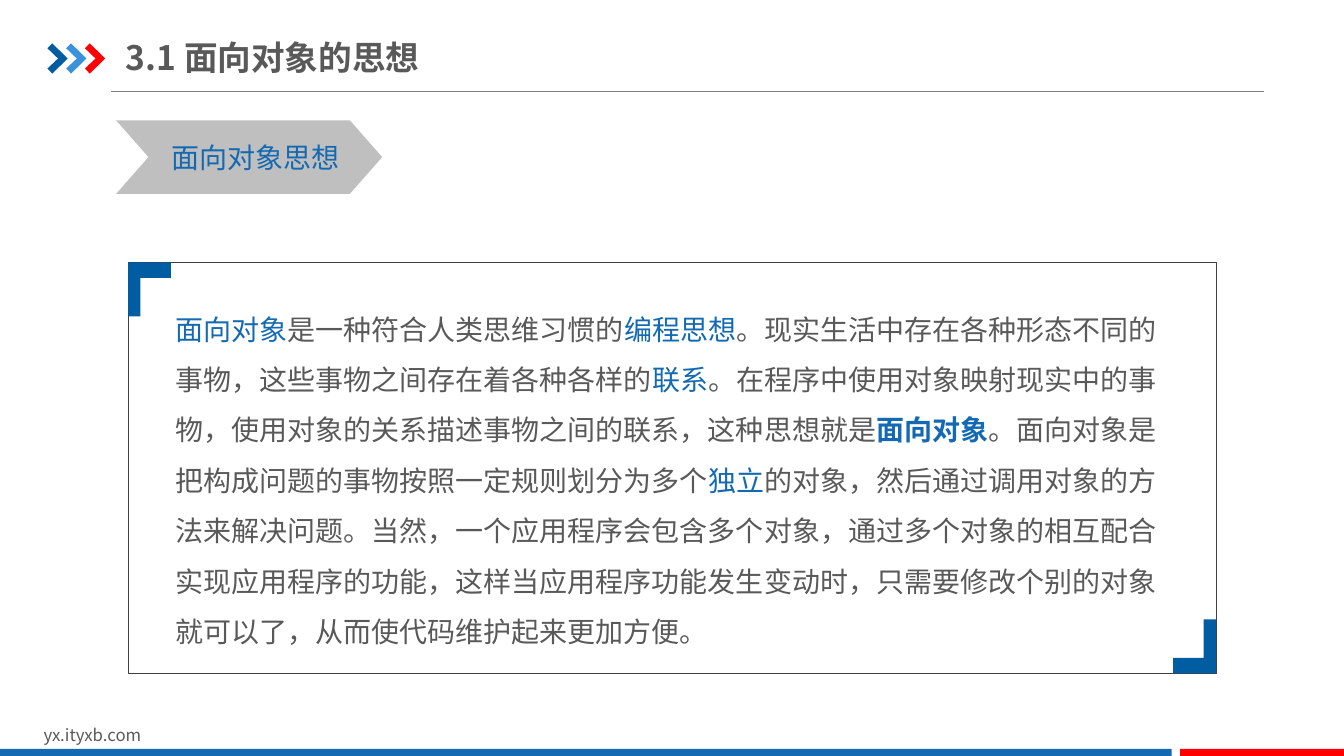
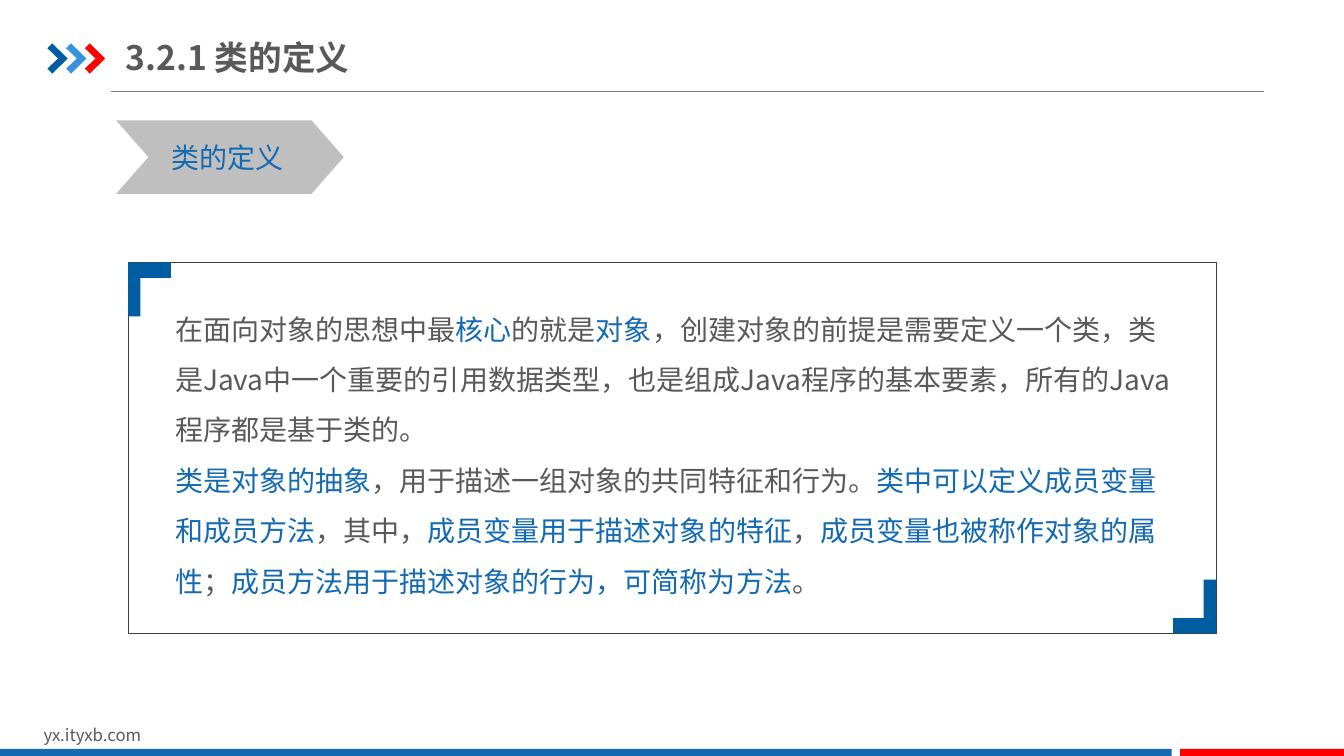
from pptx import Presentation
from pptx.dml.color import RGBColor as RGB
from pptx.enum.shapes import MSO_CONNECTOR as LINK, MSO_SHAPE as SHAPE
from pptx.enum.text import MSO_ANCHOR as ANCHOR, MSO_AUTO_SIZE as FIT, PP_ALIGN as ALIGN
from pptx.oxml.ns import qn
from pptx.util import Pt
from lxml.etree import SubElement as Sub

HEX = {
    "navy": "005DA2", "sky": "3992DB", "red": "FF0000", "blue": "1369B2",
    "text": "595959", "grey": "BFBFBF", "rule": "808080", "edge": "404040",
}
FONT = "Noto Sans CJK SC"


class Deck:
    def __init__(self):
        self.prs = Presentation()
        self.prs.slide_width, self.prs.slide_height = Pt(960), Pt(540)
        self.page = None

    def color(self, name):
        return RGB.from_string(HEX[name])

    def paint(self, item, fill):
        item.shadow.inherit = False
        item.fill.solid()
        item.fill.fore_color.rgb = self.color(fill)
        item.line.fill.background()

    def style(self, run, size, color="text", bold=False):
        font = run.font
        font.size, font.bold, font.name = Pt(size), bold, FONT
        font.color.rgb = self.color(color)
        # East Asian typeface
        Sub(run._r.get_or_add_rPr(), qn("a:ea")).set("typeface", FONT)

    def shape(self, kind, x, y, w, h, fill):
        item = self.page.shapes.add_shape(kind, Pt(x), Pt(y), Pt(w), Pt(h))
        self.paint(item, fill)
        return item

    def poly(self, x, y, pts, fill):
        pts = [(Pt(x + dx), Pt(y + dy)) for dx, dy in pts]
        form = self.page.shapes.build_freeform(*pts[0], scale=1.0)
        form.add_line_segments(pts[1:], close=True)
        self.paint(form.convert_to_shape(), fill)

    def rule(self, x, y, end):
        line = self.page.shapes.add_connector(LINK.STRAIGHT, Pt(x), Pt(y), Pt(end), Pt(y))
        line.line.color.rgb = self.color("rule")
        line.line.width = Pt(0.75)
        Sub(line._element.spPr, qn("a:effectLst"))

    def text(self, x, y, w, h, words, size, color="text", wrap=True):
        box = self.page.shapes.add_textbox(Pt(x), Pt(y), Pt(w), Pt(h))
        frame = box.text_frame
        frame.word_wrap = wrap
        frame.text = words
        self.style(frame.paragraphs[0].runs[0], size, color)

    def title(self, words):
        head = self.page.shapes.title
        head.left, head.top, head.width, head.height = Pt(90), Pt(21), Pt(306), Pt(40)
        frame = head.text_frame
        frame.text = words
        frame.auto_size, frame.vertical_anchor = FIT.NONE, ANCHOR.MIDDLE
        frame.margin_left = frame.margin_right = 0
        para = frame.paragraphs[0]
        para.alignment = ALIGN.LEFT
        self.style(para.runs[0], 24, bold=True)

    def base(self):
        # Rule and arrow marks
        self.rule(79.5, 65.5, 903)
        mark = [(0, 3.5), (3.5, 0), (14.4, 10.8), (3.5, 21.6), (0, 18), (7.6, 10.8)]
        for i, fill in enumerate(("navy", "sky", "red")):
            self.poly(33.9 + 13.4 * i, 31, mark, fill)
        # Footer
        self.text(24, 514, 229, 22, "yx.ityxb.com", 12)
        self.shape(SHAPE.RECTANGLE, 0, 535, 837, 5, "blue")
        self.shape(SHAPE.RECTANGLE, 843, 535, 117, 5, "red")

    def slide(self, title):
        self.page = self.prs.slides.add_slide(self.prs.slide_layouts[5])
        self.base()
        self.title(title)

    def label(self, words, width):
        tag = self.shape(SHAPE.CHEVRON, 83, 86, width, 52.4, "grey")
        tag.adjustments[0] = 0.44
        self.text(115.6, 97, 20 * len(words) + 14.4, 32, words, 20, "blue", wrap=False)

    def panel(self, height, paras):
        """Text between bars is blue; a leading star makes it bold."""
        x, y, w = 91.5, 187.5, 777
        frame = self.shape(SHAPE.RECTANGLE, x, y, w, height, "grey")
        frame.fill.background()
        frame.line.color.rgb = self.color("edge")
        frame.line.width = Pt(0.25)
        # Corner brackets, the second turned by half
        angle = [(0, 0), (30.5, 0), (30.5, 11), (8.8, 11), (8.8, 38.5), (0, 38.5)]
        self.poly(x, y, angle, "navy")
        self.poly(x + w, y + height, [(-dx, -dy) for dx, dy in angle], "navy")
        # Body text
        box = self.page.shapes.add_textbox(Pt(118), Pt(207.4), Pt(726), Pt(height - 36))
        body = box.text_frame
        body.word_wrap = True
        for n, words in enumerate(paras):
            para = body.add_paragraph() if n else body.paragraphs[0]
            para.line_spacing = 1.5
            for i, part in enumerate(words.split("|")):
                if part:
                    run = para.add_run()
                    run.text = part.lstrip("*")
                    self.style(run, 20, "blue" if i % 2 else "text", part.startswith("*"))


def main():
    deck = Deck()

    # Object-oriented thinking
    deck.slide("3.1 面向对象的思想")
    deck.label("面向对象思想", 190)
    deck.panel(293.5, [
        "|面向对象|是一种符合人类思维习惯的|编程思想|。现实生活中存在各种形态不同的事物，"
        "这些事物之间存在着各种各样的|联系|。在程序中使用对象映射现实中的事物，"
        "使用对象的关系描述事物之间的联系，这种思想就是|*面向对象|。"
        "面向对象是把构成问题的事物按照一定规则划分为多个|独立|的对象，"
        "然后通过调用对象的方法来解决问题。当然，一个应用程序会包含多个对象，"
        "通过多个对象的相互配合实现应用程序的功能，这样当应用程序功能发生变动时，"
        "只需要修改个别的对象就可以了，从而使代码维护起来更加方便。",
    ])

    # Class definition
    deck.slide("3.2.1 类的定义")
    deck.label("类的定义", 162.6)
    deck.panel(265, [
        "在面向对象的思想中最|核心|的就是|对象|，创建对象的前提是需要定义一个类，"
        "类是Java中一个重要的引用数据类型，也是组成Java程序的基本要素，"
        "所有的Java程序都是基于类的。",
        "|类是对象的抽象|，用于描述一组对象的共同特征和行为。"
        "|类中可以定义成员变量和成员方法|，其中，|成员变量用于描述对象的特征|，"
        "|成员变量也被称作对象的属性|；|成员方法用于描述对象的行为，可简称为方法|。",
    ])

    deck.prs.save("out.pptx")


if __name__ == "__main__":
    main()
